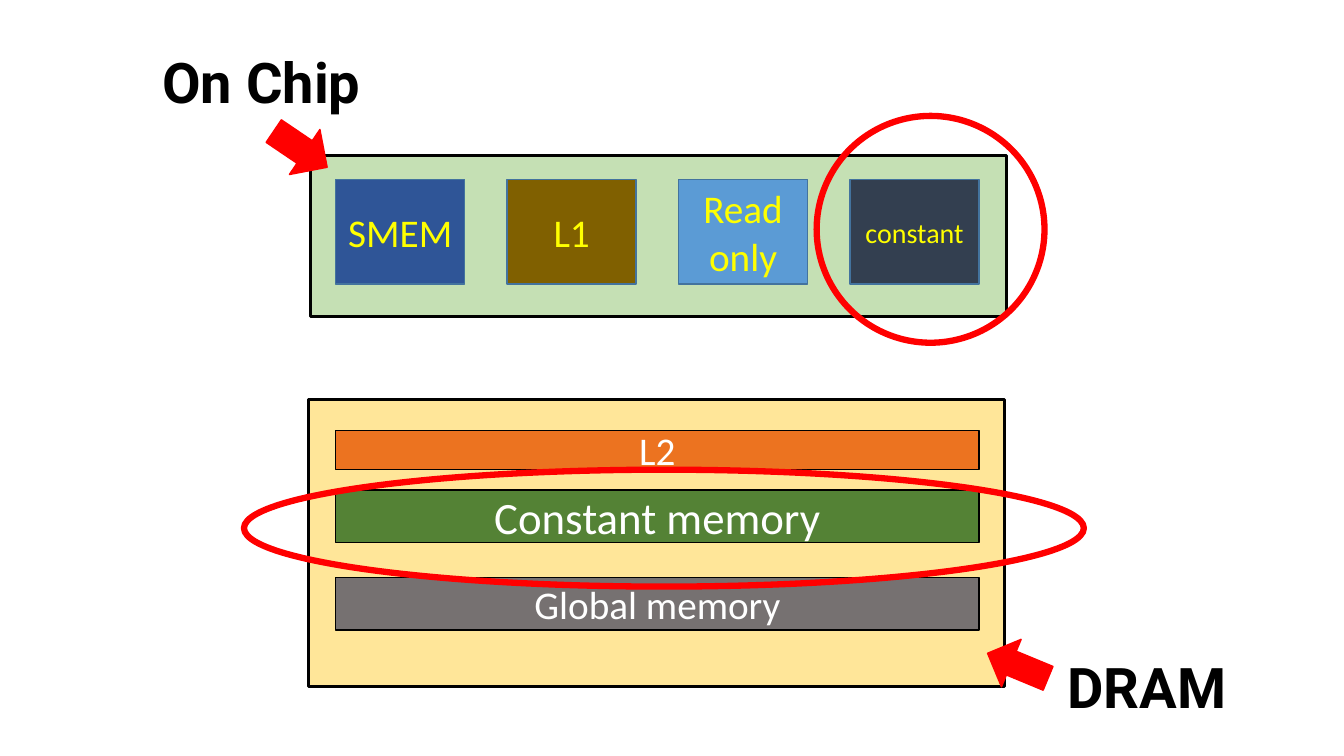
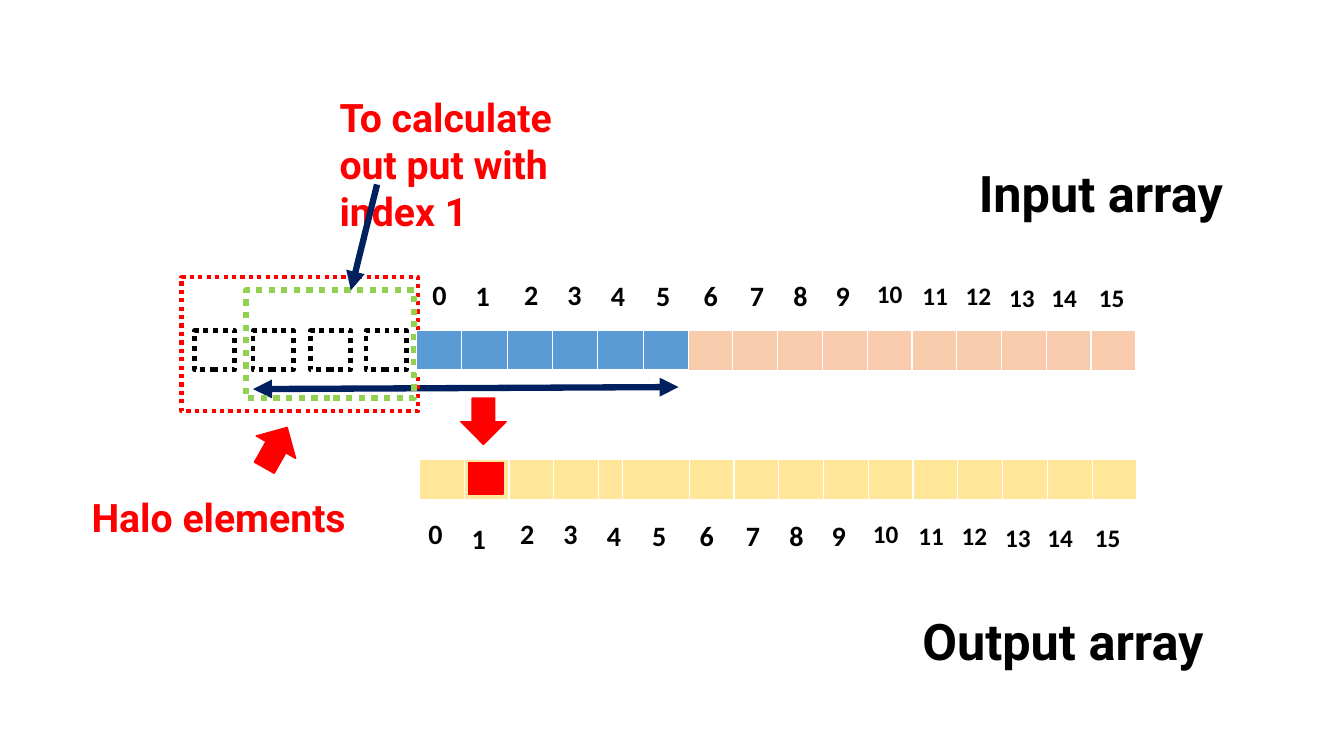
from lxml.etree import SubElement
from pptx import Presentation
from pptx.dml.color import RGBColor
from pptx.enum.dml import MSO_LINE_DASH_STYLE as Dash
from pptx.enum.shapes import MSO_CONNECTOR as Connector
from pptx.enum.shapes import MSO_SHAPE as Shape
from pptx.enum.text import MSO_ANCHOR as Anchor
from pptx.enum.text import MSO_AUTO_SIZE as AutoSize
from pptx.enum.text import PP_ALIGN as Align
from pptx.oxml.ns import qn
from pptx.util import Inches, Pt

BLACK, WHITE, RED, YELLOW, NAVY = "000000", "FFFFFF", "FF0000", "FFFF00", "002060"
BLUE, CREAM, PEACH, LIME = "5B9BD5", "FFE699", "F8CBAD", "92D050"
BODY_FONT, LABEL_FONT = "Calibri", "Roboto"


def color(value):
    """Turn a hex string into a colour."""
    return RGBColor.from_string(value)


def apply(target, values):
    """Set every attribute named in a dict of format values."""
    for name, value in values.items():
        setattr(target, name, value)


class Deck:
    """Hold the shared style and the current slide."""

    def __init__(self):
        """Start a widescreen presentation."""
        self.presentation = Presentation()
        apply(self.presentation, {"slide_width": Inches(13.33), "slide_height": Inches(7.5)})
        self.slide = None

    def new_slide(self):
        """Add a blank slide and make it current."""
        self.slide = self.presentation.slides.add_slide(self.presentation.slide_layouts[6])

    def add_text(self, paragraph, text, size, font, hex_color, bold=False):
        """Put formatted text into a paragraph."""
        run = paragraph.add_run()
        run.text = text
        apply(run.font, {"size": Pt(size), "name": font, "bold": bold})
        run.font.color.rgb = color(hex_color)

    def shape(self, kind, box, fill=None, line=BLACK, width=1, text="", size=28,
              text_color=WHITE, rotation=0, dash=None):
        """Draw a preset shape, with centred text if there is any."""
        shape = self.slide.shapes.add_shape(kind, *map(Inches, box))
        shape.shadow.inherit = False
        shape.rotation = rotation
        if fill:
            shape.fill.solid()
            shape.fill.fore_color.rgb = color(fill)
        else:
            shape.fill.background()
        shape.line.color.rgb = color(line)
        apply(shape.line, {"width": Pt(width), "dash_style": dash})
        if text:
            apply(shape.text_frame, {"word_wrap": True, "vertical_anchor": Anchor.MIDDLE})
            paragraph = shape.text_frame.paragraphs[0]
            paragraph.alignment = Align.CENTER
            self.add_text(paragraph, text, size, BODY_FONT, text_color)

    def red_arrow(self, kind, box, rotation=0):
        """Draw a red block arrow."""
        self.shape(kind, box, RED, RED, rotation=rotation)

    def label(self, box, text, size, hex_color=BLACK, font=LABEL_FONT):
        """Add a bold text label."""
        frame = self.slide.shapes.add_textbox(*map(Inches, box)).text_frame
        apply(frame, {"word_wrap": True, "auto_size": AutoSize.SHAPE_TO_FIT_TEXT})
        self.add_text(frame.paragraphs[0], text, size, font, hex_color, True)

    def line(self, start, end, ends):
        """Draw a navy line with triangles at the named ends."""
        connector = self.slide.shapes.add_connector(Connector.STRAIGHT, *map(Inches, start + end))
        connector.line.color.rgb = color(NAVY)
        connector.line.width = Pt(4.5)
        properties = connector._element.spPr
        for name in ends:
            SubElement(properties.get_or_add_ln(), qn(f"a:{name}"), type="triangle")
        SubElement(properties, qn("a:effectLst"))

    def array(self, left, top, widths, height, fill):
        """Draw a one-row table of filled cells with white borders."""
        frame = self.slide.shapes.add_table(
            1, len(widths), *map(Inches, (left, top, sum(widths), height)))
        for column, width in zip(frame.table.columns, widths):
            column.width = Inches(width)
        for cell in frame.table.iter_cells():
            properties = cell._tc.get_or_add_tcPr()
            for side, points in {"L": 1, "R": 1, "T": 1, "B": 3}.items():
                border = SubElement(properties, qn(f"a:ln{side}"), w=str(Pt(points)))
                solid = SubElement(border, qn("a:solidFill"))
                SubElement(solid, qn("a:srgbClr"), val=WHITE)
            cell.fill.solid()
            cell.fill.fore_color.rgb = color(fill)

    def indexes(self, shift, top, drops):
        """Number the array cells from zero."""
        lefts = (4.19, 4.62, 5.1, 5.53, 5.96, 6.41, 6.88, 7.34,
                 7.77, 8.19, 8.6, 9.05, 9.48, 9.91, 10.33, 10.8)
        for index, (left, drop) in enumerate(zip(lefts, drops)):
            size, width = (20, 0.43) if index < 10 else (18, 0.5)
            self.label((left + shift, top + drop, width, 0.44), str(index), size, font=BODY_FONT)


def memory_slide(deck):
    """Build the memory hierarchy slide."""
    deck.new_slide()
    deck.shape(Shape.RECTANGLE, (3.08, 1.54, 6.9, 1.6), "C5E0B4", width=2.25)
    deck.shape(Shape.RECTANGLE, (3.06, 3.96, 6.9, 2.85), CREAM, width=2.25)
    caches = (("SMEM", "2F5597", 28), ("L1", "806000", 28),
              ("Read only", BLUE, 28), ("constant", "333F50", 20))
    for index, (text, fill, size) in enumerate(caches):
        deck.shape(Shape.RECTANGLE, (3.33 + 1.7 * index, 1.78, 1.28, 1.04), fill, "43739E",
                   text=text, size=size, text_color=YELLOW)
    memories = (("L2", 4.27, 0.39, "EC7320", 28),
                ("Constant memory", 4.86, 0.52, "548235", 32),
                ("Global memory", 5.73, 0.52, "767171", 28))
    for text, top, height, fill, size in memories:
        deck.shape(Shape.RECTANGLE, (3.33, top, 6.38, height), fill, text=text, size=size)
    deck.red_arrow(Shape.RIGHT_ARROW, (2.66, 1.21, 0.64, 0.54), 34.1)
    deck.red_arrow(Shape.RIGHT_ARROW, (9.77, 6.35, 0.65, 0.51), 202.5)
    deck.label((1.51, 0.42, 2.37, 0.77), "On Chip", 40)
    deck.label((10.49, 6.42, 2.37, 0.77), "DRAM", 40)
    for box in ((8.1, 1.15, 2.26, 2.25), (2.42, 4.66, 8.33, 1.16)):
        deck.shape(Shape.OVAL, box, line=RED, width=4.5)


def halo_slide(deck):
    """Build the input and output array slide."""
    deck.new_slide()
    cell = 7.11 / 16
    deck.array(4.16, 3.28, [cell] * 16, 0.41, PEACH)
    deck.array(4.16, 4.56, [cell] * 4 + [0.23, 0.66] + [cell] * 10, 0.41, CREAM)
    deck.line((2.51, 3.86), (6.73, 3.84), ("headEnd", "tailEnd"))
    deck.red_arrow(Shape.DOWN_ARROW, (4.57, 3.95, 0.45, 0.46))
    deck.label((9.61, 1.56, 2.97, 0.71), "Input array", 36)
    deck.label((9.05, 6, 4.15, 0.71), "Output array", 36)
    drops = [0, 0.01, 0, 0] + [0.01] * 7 + [0.03] * 2 + [0.05] * 3
    deck.indexes(0, 2.7, drops)
    deck.indexes(-0.04, 5.08, [0, 0.04] + drops[2:])
    for left in (3.63, 3.08, 2.51, 1.93):
        deck.shape(Shape.RECTANGLE, (left, 3.28, 0.4, 0.39), WHITE, width=3.5, dash=Dash.ROUND_DOT)
    deck.shape(Shape.RECTANGLE, (1.8, 2.75, 2.35, 1.33), line=RED, width=3, dash=Dash.ROUND_DOT)
    deck.label((0.81, 4.84, 2.74, 0.57), "Halo elements", 28, RED)
    deck.red_arrow(Shape.DOWN_ARROW, (2.51, 4.21, 0.45, 0.46), 209.6)
    deck.shape(Shape.RECTANGLE, (2.44, 2.88, 1.67, 1.07), line=LIME, width=4.5, dash=Dash.ROUND_DOT)
    deck.shape(Shape.RECTANGLE, (4.65, 4.59, 0.34, 0.31), RED, RED)
    deck.array(4.13, 3.28, [0.45] * 6, 0.4, BLUE)
    deck.label((3.27, 0.88, 2.9, 1.04), "To calculate out put with index 1", 28, RED)
    deck.line((3.74, 1.83), (3.48, 2.88), ("tailEnd",))


def main():
    """Build and save the slides."""
    deck = Deck()
    memory_slide(deck)
    halo_slide(deck)
    deck.presentation.save("out.pptx")


if __name__ == "__main__":
    main()
